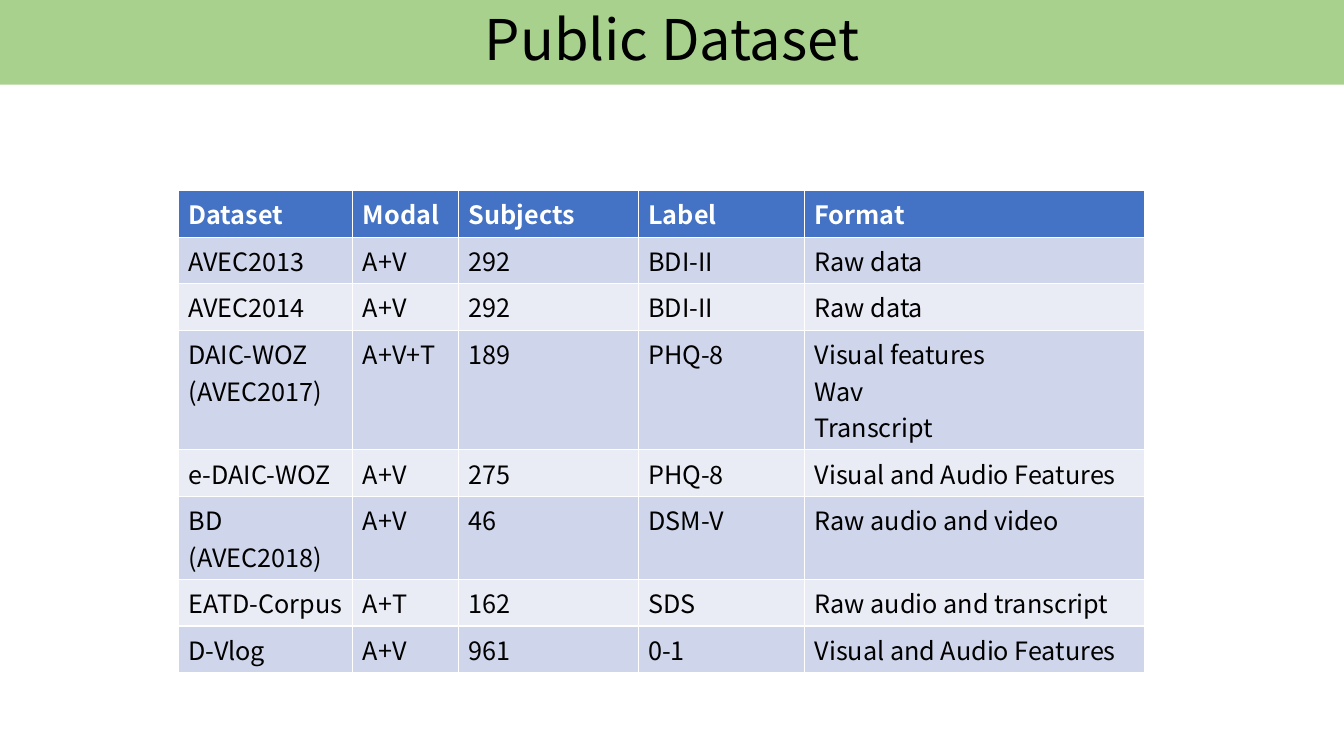
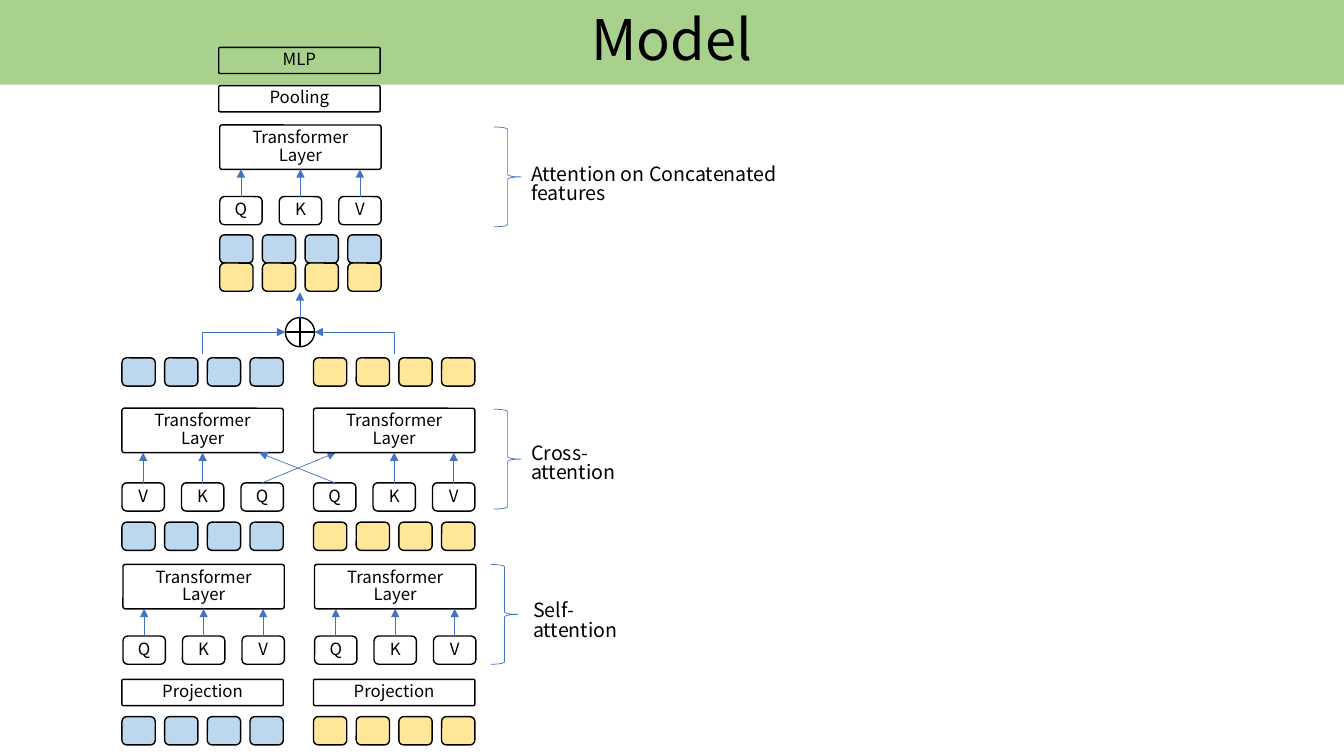
from dataclasses import dataclass
from typing import Optional

from lxml.etree import SubElement
from pptx import Presentation
from pptx.dml.color import RGBColor
from pptx.enum.shapes import MSO_CONNECTOR, MSO_SHAPE
from pptx.enum.text import MSO_ANCHOR, PP_ALIGN
from pptx.oxml.ns import qn
from pptx.shapes.autoshape import Shape
from pptx.shapes.connector import Connector
from pptx.slide import Slide
from pptx.text.text import TextFrame
from pptx.util import Inches, Pt


@dataclass(frozen=True)
class Theme:
    font: str = "Noto Sans CJK KR"
    black: str = "000000"
    white: str = "FFFFFF"
    band: str = "A9D18E"
    accent: str = "4472C4"
    odd_row: str = "CFD5EA"
    even_row: str = "E9EBF5"
    blue: str = "BDD7EE"
    yellow: str = "FFE699"
    title_size: float = 40
    table_size: float = 18
    label_size: float = 14
    box_size: float = 12
    outline: float = 1
    thin: float = 0.5


@dataclass(frozen=True)
class AttentionBlock:
    left: float
    layer_top: float
    token_top: float
    letters: str
    query_target: Optional[float] = None


@dataclass(frozen=True)
class FeatureRow:
    left: float
    top: float
    color: str


@dataclass(frozen=True)
class Bar:
    left: float
    top: float
    text: str


@dataclass(frozen=True)
class StageLabel:
    brace_left: float
    brace_top: float
    text_left: float
    text_top: float
    text_width: float
    text: str


THEME = Theme()
SLIDE_WIDTH, SLIDE_HEIGHT = 13.33, 7.5

# Dataset table
COLUMN_WIDTHS = (1.73, 1.05, 1.78, 1.65, 3.37)
ROW_HEIGHT = 0.41
DATASETS = (
    ("Dataset", "Modal", "Subjects", "Label", "Format"),
    ("AVEC2013", "A+V", "292", "BDI-II", "Raw data"),
    ("AVEC2014", "A+V", "292", "BDI-II", "Raw data"),
    ("DAIC-WOZ\n(AVEC2017)", "A+V+T", "189", "PHQ-8",
     "Visual features\nWav\nTranscript"),
    ("e-DAIC-WOZ", "A+V", "275", "PHQ-8", "Visual and Audio Features"),
    ("BD\n(AVEC2018)", "A+V", "46", "DSM-V", "Raw audio and video"),
    ("EATD-Corpus", "A+T", "162", "SDS", "Raw audio and transcript"),
    ("D-Vlog", "A+V", "961", "0-1", "Visual and Audio Features"),
)

# Model diagram: two branches that merge into a central one
LEFT, RIGHT, CENTER = 1.21, 3.11, 2.18
BLOCK_WIDTH, LAYER_HEIGHT, BAR_HEIGHT = 1.6, 0.44, 0.26
TOKEN_WIDTH, FEATURE_WIDTH, CELL_HEIGHT = 0.42, 0.33, 0.28
TOKEN_PITCH = (BLOCK_WIDTH - TOKEN_WIDTH) / 2
FEATURE_COUNT = 4
FEATURE_PITCH = (BLOCK_WIDTH - FEATURE_WIDTH) / (FEATURE_COUNT - 1)
BRACE_WIDTH, BRACE_HEIGHT = 0.27, 0.99
SUM_LEFT, SUM_TOP, SUM_SIZE = 2.83, 3.15, 0.29

BLOCKS = (
    AttentionBlock(1.22, 5.6, 6.31, "QKV"),
    AttentionBlock(3.12, 5.6, 6.31, "QKV"),
    AttentionBlock(LEFT, 4.05, 4.79, "VKQ", query_target=3.33),
    AttentionBlock(RIGHT, 4.05, 4.79, "QKV", query_target=2.57),
    AttentionBlock(CENTER, 1.24, 1.95, "QKV"),
)
FEATURE_ROWS = tuple(
    FeatureRow(left, top, color)
    for top in (7.11, 5.18, 3.55)
    for left, color in ((LEFT, THEME.blue), (RIGHT, THEME.yellow))
) + (
    FeatureRow(CENTER, 2.33, THEME.blue),
    FeatureRow(CENTER, 2.33 + CELL_HEIGHT, THEME.yellow),
)
BARS = (
    Bar(2.17, 0.47, "MLP"),
    Bar(2.17, 0.85, "Pooling"),
    Bar(LEFT, 6.74, "Projection"),
    Bar(RIGHT, 6.74, "Projection"),
)
STAGE_LABELS = (
    StageLabel(4.87, 5.6, 5.19, 5.92, 1.2, "Self-attention"),
    StageLabel(4.9, 4.06, 5.17, 4.36, 1.2, "Cross-attention"),
    StageLabel(4.9, 1.26, 5.17, 1.59, 2.9, "Attention on Concatenated features"),
)


def rgb(color: str) -> RGBColor:
    return RGBColor.from_string(color)


def style_text(frame: TextFrame, size: float, color: str = THEME.black,
               bold: bool = False, align: PP_ALIGN = PP_ALIGN.LEFT,
               spacing: float = 1.0) -> None:
    for paragraph in frame.paragraphs:
        paragraph.alignment = align
        paragraph.line_spacing = spacing
        for run in paragraph.runs:
            run.font.name = THEME.font
            run.font.size = Pt(size)
            run.font.bold = bold
            run.font.color.rgb = rgb(color)


def add_box(slide: Slide, kind: MSO_SHAPE, left: float, top: float,
            width: float, height: float, fill: Optional[str] = None,
            line: Optional[str] = THEME.black,
            line_width: float = THEME.outline) -> Shape:
    shape = slide.shapes.add_shape(
        kind, Inches(left), Inches(top), Inches(width), Inches(height))
    shape.shadow.inherit = False
    if fill:
        shape.fill.solid()
        shape.fill.fore_color.rgb = rgb(fill)
    else:
        shape.fill.background()
    if line:
        shape.line.color.rgb = rgb(line)
        shape.line.width = Pt(line_width)
    else:
        shape.line.fill.background()
    return shape


def write_centered(shape: Shape, text: str, size: float, spacing: float) -> None:
    frame = shape.text_frame
    frame.text = text
    frame.word_wrap = True
    frame.vertical_anchor = MSO_ANCHOR.MIDDLE
    style_text(frame, size, align=PP_ALIGN.CENTER, spacing=spacing)


def add_title_band(slide: Slide, title: str) -> None:
    band = add_box(slide, MSO_SHAPE.RECTANGLE, 0, 0, SLIDE_WIDTH, 0.84,
                   THEME.band, line=None)
    write_centered(band, title, THEME.title_size, 0.9)


def add_text_box(slide: Slide, left: float, top: float, height: float,
                 text: str) -> Shape:
    shape = add_box(slide, MSO_SHAPE.ROUNDED_RECTANGLE, left, top,
                    BLOCK_WIDTH, height)
    shape.adjustments[0] = 0.05
    write_centered(shape, text, THEME.box_size, 0.86)
    return shape


def add_arrow(slide: Slide, start: tuple[float, float], end: tuple[float, float],
              kind: MSO_CONNECTOR = MSO_CONNECTOR.STRAIGHT) -> Connector:
    connector = slide.shapes.add_connector(
        kind, *(Inches(value) for value in (*start, *end)))
    connector.line.color.rgb = rgb(THEME.accent)
    connector.line.width = Pt(THEME.thin)
    properties = connector._element.spPr
    SubElement(properties.find(qn("a:ln")), qn("a:tailEnd"), type="triangle")
    SubElement(properties, qn("a:effectLst"))
    return connector


def add_corner_arrow(slide: Slide, start: tuple[float, float],
                     end: tuple[float, float]) -> None:
    # A zero adjustment makes the elbow turn right above its start
    connector = add_arrow(slide, start, end, MSO_CONNECTOR.ELBOW)
    geometry = connector._element.spPr.find(qn("a:prstGeom"))
    adjustments = geometry.find(qn("a:avLst"))
    if adjustments is None:
        adjustments = SubElement(geometry, qn("a:avLst"))
    SubElement(adjustments, qn("a:gd"), name="adj1", fmla="val 0")


def add_attention_block(slide: Slide, block: AttentionBlock) -> None:
    layer = add_text_box(slide, block.left, block.layer_top, LAYER_HEIGHT,
                         "Transformer Layer")
    layer_bottom = block.layer_top + LAYER_HEIGHT
    for index, letter in enumerate(block.letters):
        token_left = block.left + index * TOKEN_PITCH
        token = add_box(slide, MSO_SHAPE.ROUNDED_RECTANGLE, token_left,
                        block.token_top, TOKEN_WIDTH, CELL_HEIGHT)
        write_centered(token, letter, THEME.box_size, 0.86)
        middle = token_left + TOKEN_WIDTH / 2
        target = middle
        if letter == "Q" and block.query_target is not None:
            target = block.query_target
        arrow = add_arrow(slide, (middle, block.token_top), (target, layer_bottom))
        arrow.begin_connect(token, 0)
        if letter == "K":
            arrow.end_connect(layer, 2)


def add_feature_row(slide: Slide, row: FeatureRow) -> None:
    for index in range(FEATURE_COUNT):
        add_box(slide, MSO_SHAPE.ROUNDED_RECTANGLE,
                row.left + index * FEATURE_PITCH, row.top,
                FEATURE_WIDTH, CELL_HEIGHT, row.color)


def add_stage_label(slide: Slide, label: StageLabel) -> None:
    add_box(slide, MSO_SHAPE.RIGHT_BRACE, label.brace_left, label.brace_top,
            BRACE_WIDTH, BRACE_HEIGHT, line=THEME.accent, line_width=THEME.thin)
    text_box = slide.shapes.add_textbox(
        Inches(label.text_left), Inches(label.text_top),
        Inches(label.text_width), Inches(0.57))
    frame = text_box.text_frame
    frame.word_wrap = True
    frame.text = label.text
    style_text(frame, THEME.label_size, spacing=0.84)


def add_sum(slide: Slide) -> None:
    circle = add_box(slide, MSO_SHAPE.FLOWCHART_OR, SUM_LEFT, SUM_TOP,
                     SUM_SIZE, SUM_SIZE)
    middle = SUM_TOP + SUM_SIZE / 2
    add_corner_arrow(slide, (LEFT + BLOCK_WIDTH / 2, 3.51), (SUM_LEFT, middle))
    add_corner_arrow(slide, (RIGHT + BLOCK_WIDTH / 2, 3.51),
                     (SUM_LEFT + SUM_SIZE, middle))
    center = SUM_LEFT + SUM_SIZE / 2
    add_arrow(slide, (center, SUM_TOP), (center, 2.9)).begin_connect(circle, 0)


def build_dataset_slide(slide: Slide) -> None:
    table = slide.shapes.add_table(
        len(DATASETS), len(COLUMN_WIDTHS), Inches(1.77), Inches(1.89),
        Inches(sum(COLUMN_WIDTHS)), Inches(ROW_HEIGHT * len(DATASETS))).table
    for column, width in zip(table.columns, COLUMN_WIDTHS):
        column.width = Inches(width)
    for row_index, values in enumerate(DATASETS):
        header = row_index == 0
        banding = THEME.odd_row if row_index % 2 else THEME.even_row
        table.rows[row_index].height = Inches(ROW_HEIGHT)
        for column_index, value in enumerate(values):
            cell = table.cell(row_index, column_index)
            cell.fill.solid()
            cell.fill.fore_color.rgb = rgb(THEME.accent if header else banding)
            cell.text_frame.text = value
            style_text(cell.text_frame, THEME.table_size,
                       THEME.white if header else THEME.black, bold=header)
    add_title_band(slide, "Public Dataset")


def build_model_slide(slide: Slide) -> None:
    add_title_band(slide, "Model")
    for row in FEATURE_ROWS:
        add_feature_row(slide, row)
    for block in BLOCKS:
        add_attention_block(slide, block)
    add_sum(slide)
    for bar in BARS:
        add_text_box(slide, bar.left, bar.top, BAR_HEIGHT, bar.text)
    for label in STAGE_LABELS:
        add_stage_label(slide, label)


def main() -> None:
    presentation = Presentation()
    presentation.slide_width = Inches(SLIDE_WIDTH)
    presentation.slide_height = Inches(SLIDE_HEIGHT)
    blank = presentation.slide_layouts[6]
    for build in (build_dataset_slide, build_model_slide):
        build(presentation.slides.add_slide(blank))
    presentation.save("out.pptx")


if __name__ == "__main__":
    main()
